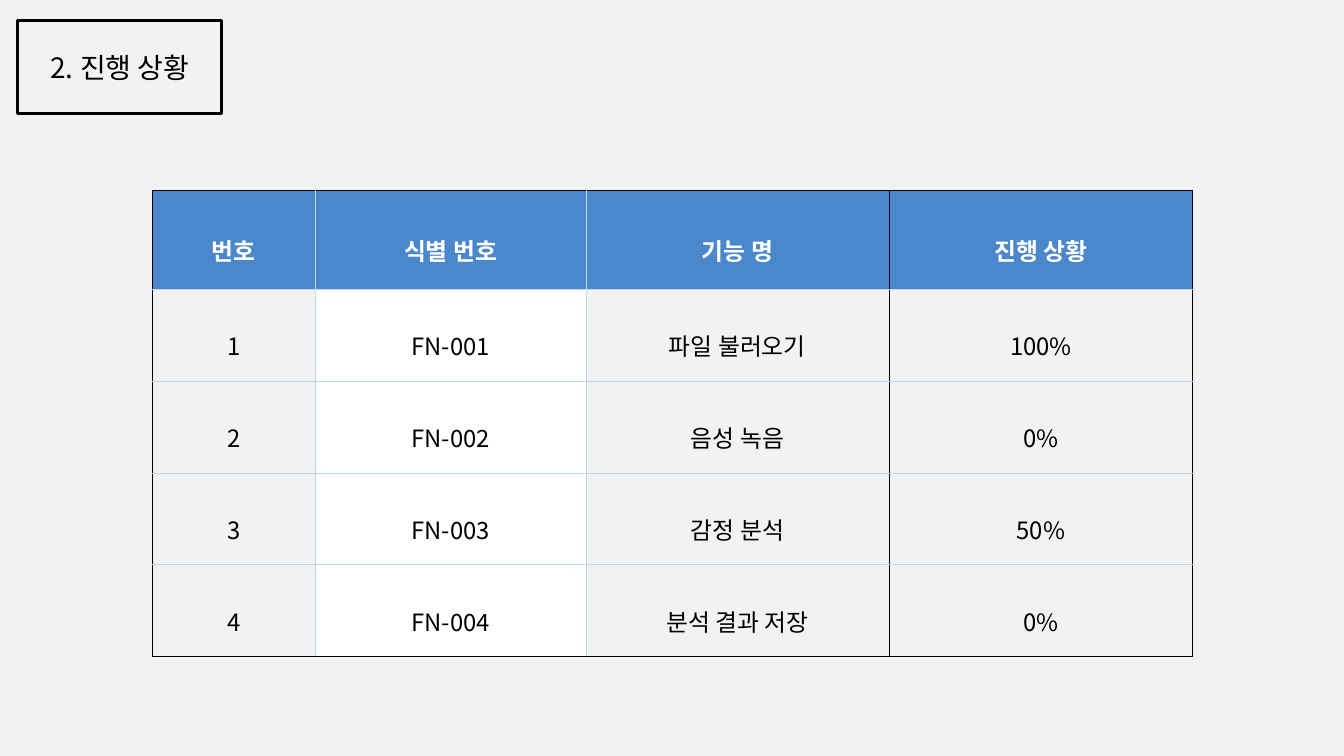
from lxml import etree
from pptx import Presentation
from pptx.dml.color import RGBColor
from pptx.enum.shapes import MSO_SHAPE
from pptx.enum.text import MSO_ANCHOR, PP_ALIGN
from pptx.oxml.ns import qn
from pptx.util import Inches, Pt

FONT = "Noto Sans CJK KR"
BLACK = RGBColor(0x00, 0x00, 0x00)
WHITE = RGBColor(0xFF, 0xFF, 0xFF)
BACKGROUND = RGBColor(0xF2, 0xF2, 0xF2)
HEADER_BLUE = RGBColor(0x4B, 0x87, 0xCB)
BORDER_BLUE = RGBColor(0xC1, 0xD6, 0xED)

COLUMN_WIDTHS = [1.62, 2.68, 3.01, 3.01]
HEADER_HEIGHT = 0.98
ROW_HEIGHT = 0.91
ROWS = [
    ["번호", "식별 번호", "기능 명", "진행 상황"],
    ["1", "FN-001", "파일 불러오기", "100%"],
    ["2", "FN-002", "음성 녹음", "0%"],
    ["3", "FN-003", "감정 분석", "50%"],
    ["4", "FN-004", "분석 결과 저장", "0%"],
]
BLACK_COLUMN_EDGES = {0, 3, 4}
BLACK_ROW_EDGES = {0, len(ROWS)}


def format_paragraph(paragraph, size, color, bold=False):
    paragraph.alignment = PP_ALIGN.CENTER
    font = paragraph.font
    font.size = Pt(size)
    font.bold = bold
    font.color.rgb = color
    font.name = FONT
    etree.SubElement(font._rPr, qn("a:ea"), typeface=FONT)


def add_title(slide, text):
    title = slide.shapes.title
    title.left, title.top = Inches(0.23), Inches(0.45)
    title.width, title.height = Inches(1.92), Inches(0.44)
    title.text_frame.text = text
    title.text_frame.word_wrap = True
    title.text_frame.vertical_anchor = MSO_ANCHOR.MIDDLE
    format_paragraph(title.text_frame.paragraphs[0], 20, BLACK)


def add_frame(slide):
    frame = slide.shapes.add_shape(
        MSO_SHAPE.RECTANGLE, Inches(0.17), Inches(0.2), Inches(2.03), Inches(0.93)
    )
    frame.shadow.inherit = False
    frame.fill.background()
    frame.line.color.rgb = BLACK
    frame.line.width = Pt(2)


def add_border(cell, side, is_black):
    color, width = (BLACK, 1) if is_black else (BORDER_BLUE, 0.28)
    properties = cell._tc.get_or_add_tcPr()
    line = etree.SubElement(properties, qn(f"a:ln{side}"), w=str(Pt(width)))
    fill = etree.SubElement(line, qn("a:solidFill"))
    etree.SubElement(fill, qn("a:srgbClr"), val=str(color))


def fill_cell(cell, color):
    if color is None:
        cell.fill.background()
    else:
        cell.fill.solid()
        cell.fill.fore_color.rgb = color


def format_cell(cell, row, column):
    is_header = row == 0
    cell.text = ROWS[row][column]
    cell.vertical_anchor = MSO_ANCHOR.MIDDLE
    cell.margin_left = cell.margin_right = Inches(0.07)
    cell.margin_top = cell.margin_bottom = Inches(0.02)
    paragraph = cell.text_frame.paragraphs[0]
    paragraph.line_spacing = 1.6
    format_paragraph(paragraph, 17, WHITE if is_header else BLACK, is_header)

    add_border(cell, "L", column in BLACK_COLUMN_EDGES)
    add_border(cell, "R", column + 1 in BLACK_COLUMN_EDGES)
    add_border(cell, "T", row in BLACK_ROW_EDGES)
    add_border(cell, "B", row + 1 in BLACK_ROW_EDGES)
    body_fill = WHITE if column == 1 else None
    fill_cell(cell, HEADER_BLUE if is_header else body_fill)


def add_progress_table(slide):
    heights = [HEADER_HEIGHT] + [ROW_HEIGHT] * (len(ROWS) - 1)
    table = slide.shapes.add_table(
        len(ROWS), len(COLUMN_WIDTHS), Inches(1.51), Inches(1.89),
        Inches(sum(COLUMN_WIDTHS)), Inches(sum(heights)),
    ).table
    table.horz_banding = False
    for column, width in zip(table.columns, COLUMN_WIDTHS):
        column.width = Inches(width)
    for row, height in zip(table.rows, heights):
        row.height = Inches(height)
    for row in range(len(ROWS)):
        for column in range(len(COLUMN_WIDTHS)):
            format_cell(table.cell(row, column), row, column)


def main():
    presentation = Presentation()
    presentation.slide_width = Inches(13.33)
    presentation.slide_height = Inches(7.5)
    slide = presentation.slides.add_slide(presentation.slide_layouts[5])
    slide.background.fill.solid()
    slide.background.fill.fore_color.rgb = BACKGROUND
    add_title(slide, "2. 진행 상황")
    add_frame(slide)
    add_progress_table(slide)
    presentation.save("out.pptx")


if __name__ == "__main__":
    main()
